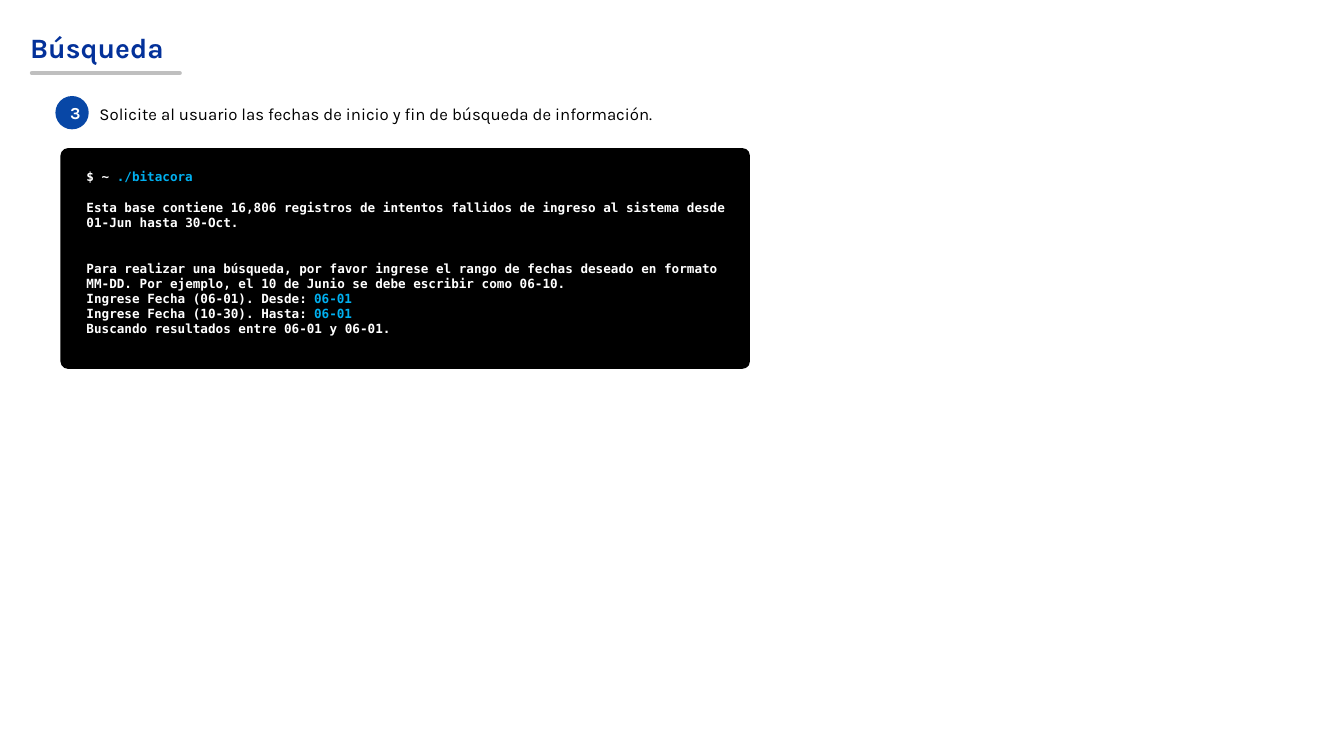
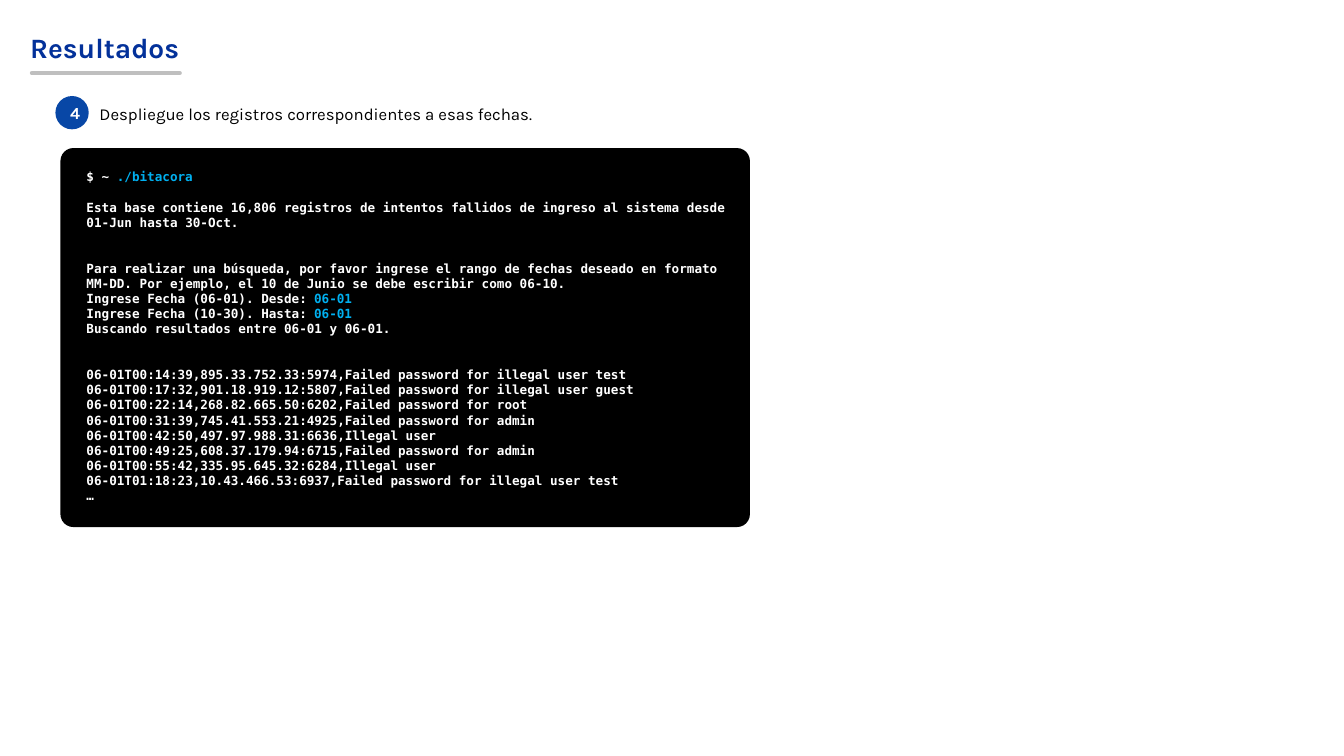
from dataclasses import dataclass

from pptx import Presentation
from pptx.dml.color import RGBColor
from pptx.enum.shapes import MSO_CONNECTOR, MSO_SHAPE
from pptx.enum.text import MSO_ANCHOR, PP_ALIGN
from pptx.oxml.ns import qn
from pptx.shapes.autoshape import Shape
from pptx.slide import Slide
from pptx.text.text import TextFrame, _Paragraph
from pptx.util import Pt
from lxml.etree import SubElement

COLORS = {
    "title": "03319A",
    "badge": "0847A6",
    "rule": "BFBFBF",
    "body": "000000",
    "terminal": "000000",
    "output": "FFFFFF",
    "input": "00B0F0",
}
BODY_FONT = "Karla"
CODE_FONT = "DejaVu Sans Mono"
CODE_SIZE = 9
LINE_GAP = 10.9  # one blank terminal line


@dataclass(frozen=True)
class TerminalLine:
    output: str
    typed: str = ""
    blank_before: int = 0


@dataclass(frozen=True)
class Step:
    title: str
    number: int
    instruction: str
    terminal_height: float
    session: list[TerminalLine]


# Terminal session: the search, then the records found
SEARCH = [
    TerminalLine("$ ~ ", "./bitacora"),
    TerminalLine("Esta base contiene 16,806 registros de intentos fallidos de "
                 "ingreso al sistema desde 01-Jun hasta 30-Oct.", blank_before=1),
    TerminalLine("Para realizar una búsqueda, por favor ingrese el rango de fechas "
                 "deseado en formato MM-DD. Por ejemplo, el 10 de Junio se debe "
                 "escribir como 06-10.", blank_before=2),
    TerminalLine("Ingrese Fecha (06-01). Desde: ", "06-01"),
    TerminalLine("Ingrese Fecha (10-30). Hasta: ", "06-01"),
    TerminalLine("Buscando resultados entre 06-01 y 06-01."),
]
RECORDS = [
    TerminalLine("06-01T00:14:39,895.33.752.33:5974,Failed password for illegal user test",
                 blank_before=2),
    TerminalLine("06-01T00:17:32,901.18.919.12:5807,Failed password for illegal user guest"),
    TerminalLine("06-01T00:22:14,268.82.665.50:6202,Failed password for root"),
    TerminalLine("06-01T00:31:39,745.41.553.21:4925,Failed password for admin"),
    TerminalLine("06-01T00:42:50,497.97.988.31:6636,Illegal user"),
    TerminalLine("06-01T00:49:25,608.37.179.94:6715,Failed password for admin"),
    TerminalLine("06-01T00:55:42,335.95.645.32:6284,Illegal user"),
    TerminalLine("06-01T01:18:23,10.43.466.53:6937,Failed password for illegal user test"),
    TerminalLine("…"),
]
STEPS = [
    Step("Búsqueda", 3,
         "Solicite al usuario las fechas de inicio y fin de búsqueda de información.",
         157.7, SEARCH),
    Step("Resultados", 4,
         "Despliegue los registros correspondientes a esas fechas.",
         270.7, SEARCH + RECORDS),
]


def add_run(paragraph: _Paragraph, text: str, font: str, size: float,
            color: str, bold: bool = False) -> None:
    run = paragraph.add_run()
    run.text = text
    run.font.name = font
    run.font.size = Pt(size)
    run.font.bold = bold
    run.font.color.rgb = RGBColor.from_string(COLORS[color])


def add_text_frame(slide: Slide, left: float, top: float,
                   width: float, height: float) -> TextFrame:
    frame = slide.shapes.add_textbox(Pt(left), Pt(top), Pt(width), Pt(height)).text_frame
    frame.word_wrap = True
    return frame


def add_filled_shape(slide: Slide, kind: MSO_SHAPE, left: float, top: float,
                     width: float, height: float, color: str) -> Shape:
    shape = slide.shapes.add_shape(kind, Pt(left), Pt(top), Pt(width), Pt(height))
    shape.shadow.inherit = False
    shape.fill.solid()
    shape.fill.fore_color.rgb = RGBColor.from_string(COLORS[color])
    shape.line.fill.background()
    return shape


def add_title(slide: Slide, title: str) -> None:
    frame = add_text_frame(slide, 14.4, 12.24, 367.2, 43.2)
    frame.vertical_anchor = MSO_ANCHOR.MIDDLE
    frame.margin_top = frame.margin_bottom = Pt(7.2)
    add_run(frame.paragraphs[0], title, BODY_FONT, 20, "title", bold=True)

    underline = slide.shapes.add_connector(
        MSO_CONNECTOR.STRAIGHT, Pt(22.8), Pt(52.2), Pt(128.4), Pt(52.2))
    underline.line.color.rgb = RGBColor.from_string(COLORS["rule"])
    underline.line.width = Pt(3)
    underline.line._get_or_add_ln().set("cap", "rnd")
    SubElement(underline._element.spPr, qn("a:effectLst"))


def add_instruction(slide: Slide, number: int, instruction: str) -> None:
    frame = add_text_frame(slide, 64, 70.56, 518.4, 21.6)
    add_run(frame.paragraphs[0], instruction, BODY_FONT, 12, "body")

    badge = add_filled_shape(slide, MSO_SHAPE.OVAL, 39.6, 68.6, 23.8, 23.8, "badge")
    badge.text_frame.vertical_anchor = MSO_ANCHOR.MIDDLE
    label = badge.text_frame.paragraphs[0]
    label.alignment = PP_ALIGN.CENTER
    add_run(label, str(number), BODY_FONT, 12, "output", bold=True)


def add_terminal(slide: Slide, height: float, session: list[TerminalLine]) -> None:
    window = add_filled_shape(slide, MSO_SHAPE.ROUNDED_RECTANGLE,
                              43.2, 105.8, 492.5, height, "terminal")
    window.adjustments[0] = 0.034

    frame = add_text_frame(slide, 54.7, 117.4, 472.3, height - 24)
    for index, line in enumerate(session):
        paragraph = frame.add_paragraph() if index else frame.paragraphs[0]
        paragraph.space_before = Pt(line.blank_before * LINE_GAP)
        add_run(paragraph, line.output, CODE_FONT, CODE_SIZE, "output", bold=True)
        if line.typed:
            add_run(paragraph, line.typed, CODE_FONT, CODE_SIZE, "input", bold=True)


def main() -> None:
    deck = Presentation()
    deck.slide_width, deck.slide_height = Pt(960), Pt(540)
    blank = deck.slide_layouts[6]
    for step in STEPS:
        slide = deck.slides.add_slide(blank)
        add_title(slide, step.title)
        add_instruction(slide, step.number, step.instruction)
        add_terminal(slide, step.terminal_height, step.session)
    deck.save("out.pptx")


if __name__ == "__main__":
    main()
